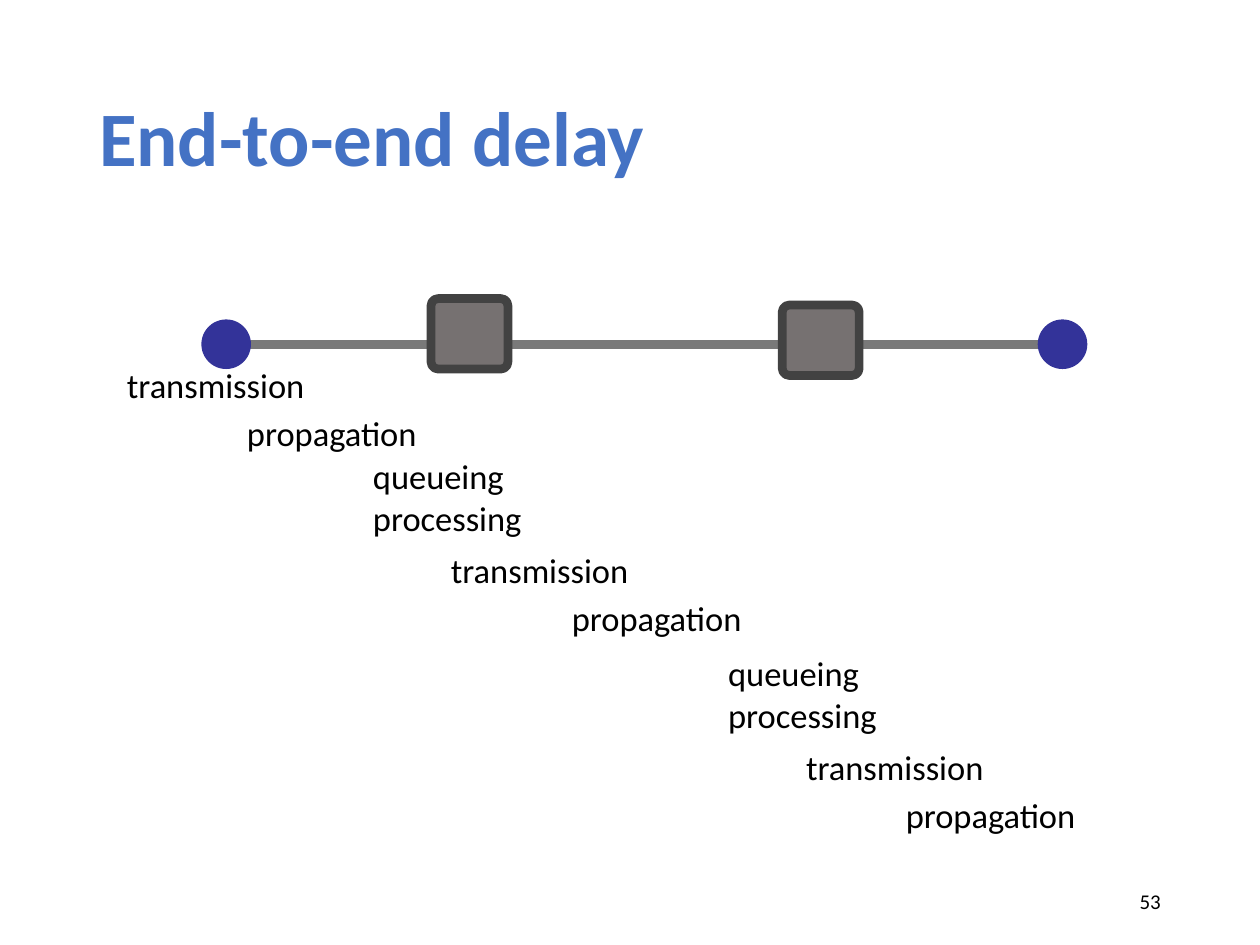
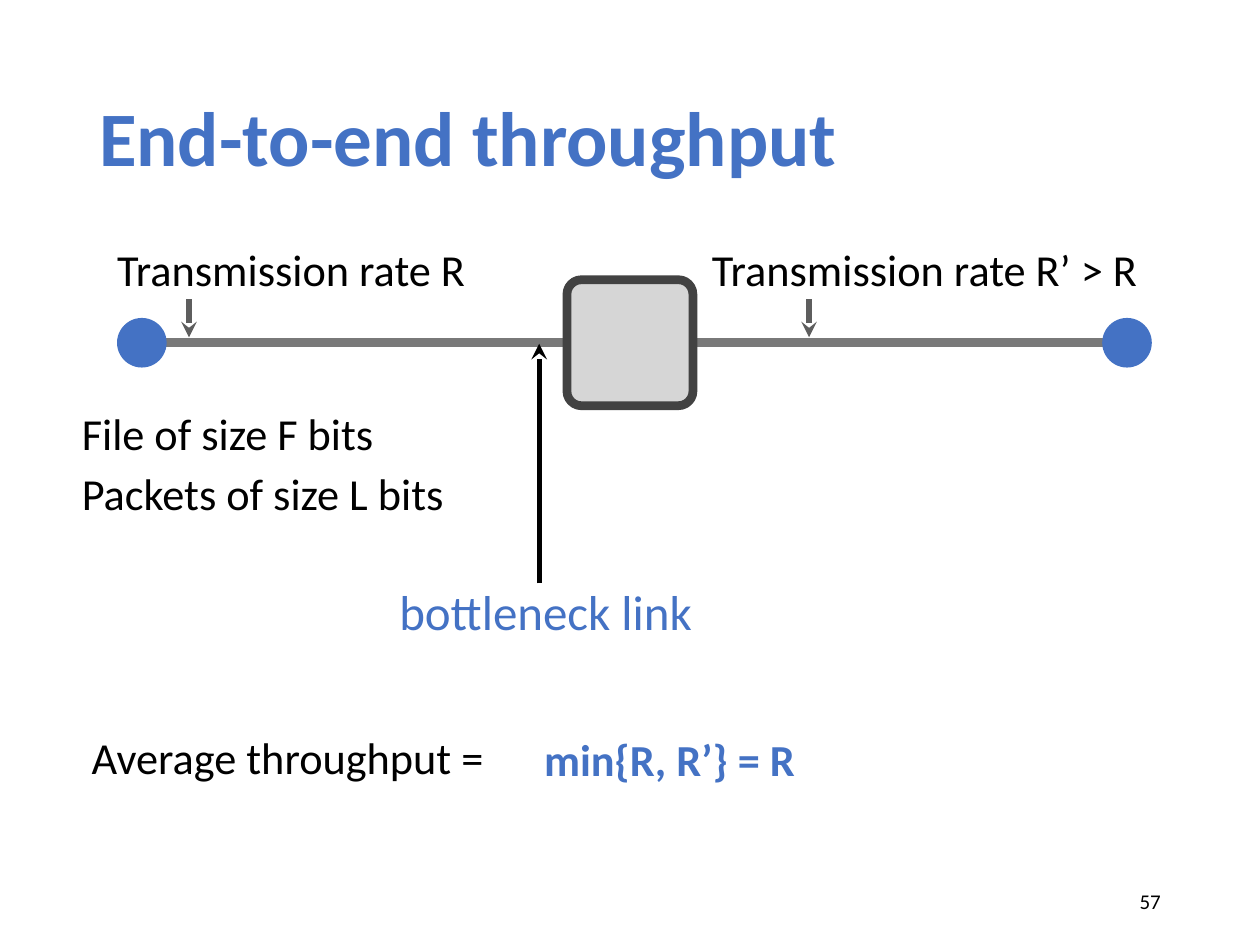
"""Build two slides on end-to-end delay and throughput."""
from pptx import Presentation
from pptx.dml.color import RGBColor as Rgb
from pptx.enum.shapes import MSO_CONNECTOR as Link, MSO_SHAPE as Form
from pptx.enum.text import MSO_ANCHOR as Anchor, PP_ALIGN as Align
from pptx.oxml.ns import qn
from pptx.util import Cm, Pt
from lxml.etree import SubElement as Sub

FONT = "Calibri"
INK = {
    "text": "000000",
    "blue": "4472C4",
    "navy": "333399",
    "wire": "797979",
    "arrow": "5E5E5E",
    "edge": "424242",
    "dark": "767171",
    "pale": "D6D6D6",
}


def tint(name):
    return Rgb.from_string(INK[name])


def add_text(slide, text, x, y, w, h, size, ink="text", bold=False, pad=0.1):
    box = slide.shapes.add_textbox(Cm(x), Cm(y), Cm(w), Cm(h))
    frame = box.text_frame
    frame.word_wrap = True
    frame.vertical_anchor = Anchor.MIDDLE
    frame.margin_left = frame.margin_right = Cm(pad)
    frame.margin_top = frame.margin_bottom = Cm(min(pad, 0.15))
    frame.text = text
    para = frame.paragraphs[0]
    font = para.runs[0].font
    font.name, font.size, font.bold = FONT, Pt(size), bold
    font.color.rgb = tint(ink)
    return para


def add_line(slide, start, end, ink, width, head=False):
    line = slide.shapes.add_connector(Link.STRAIGHT, *map(Cm, start + end))
    line.line.color.rgb = tint(ink)
    line.line.width = Pt(width)
    if head:
        Sub(line.line._get_or_add_ln(), qn("a:tailEnd"), type="stealth")
    Sub(line._element.spPr, qn("a:effectLst"))


def add_form(slide, form, x, y, w, h, ink):
    shape = slide.shapes.add_shape(form, Cm(x), Cm(y), Cm(w), Cm(h))
    shape.shadow.inherit = False
    shape.fill.solid()
    shape.fill.fore_color.rgb = tint(ink)
    shape.line.fill.background()
    return shape


def add_path(slide, left, right, y, ink):
    add_line(slide, (left, y), (right, y), "wire", 5)
    for x in (left, right):
        add_form(slide, Form.OVAL, x - 0.5, y - 0.5, 1, 1, ink)


def add_router(slide, x, y, w, h, ink, curve):
    box = add_form(slide, Form.ROUNDED_RECTANGLE, x, y, w, h, ink)
    box.adjustments[0] = curve
    box.line.color.rgb = tint("edge")
    box.line.width = Pt(5)


def add_slide(deck, title, number):
    slide = deck.slides.add_slide(deck.slide_layouts[6])
    head = add_text(slide, title, 1.75, 1.02, 21.9, 3.68, 44, "blue", True, 0.25)
    head.line_spacing = 0.9
    foot = add_text(slide, number, 17.93, 17.65, 5.72, 1.02, 12, pad=0.25)
    foot.alignment = Align.RIGHT
    return slide


def add_delay(deck):
    slide = add_slide(deck, "End-to-end delay", "53")
    add_path(slide, 4.56, 21.42, 6.94, "navy")
    for x, y in ((8.69, 6.02), (15.77, 6.15)):
        add_router(slide, x, y, 1.55, 1.42, "dark", 0.1)
    hops = ((2.46, 7.24, 2.42), (8.99, 10.97, 2.44), (16.15, 14.94, 2.01))
    for hop, (x, y, gap) in enumerate(hops):
        steps = [("transmission", x, y), ("propagation", x + gap, y + 0.96)]
        if hop:
            wait = x - 1.57
            steps = [("queueing", wait, y - 1.9),
                     ("processing", wait, y - 1.06)] + steps
        for text, left, top in steps:
            add_text(slide, text, left, top, 4.24, 1.04, 19.7)


def add_rate(deck):
    slide = add_slide(deck, "End-to-end throughput", "57")
    add_path(slide, 2.86, 22.72, 6.91, "blue")
    add_router(slide, 11.43, 5.64, 2.54, 2.54, "pale", 0.115)
    notes = (
        ("Transmission rate R", 2.26, 4.78, 8.3),
        ("Transmission rate R’ > R", 14.25, 4.78, 10.72),
        ("File of size F bits", 1.55, 8.08, 8.48),
        ("Packets of size L bits", 1.55, 9.3, 9.47),
        ("Average throughput =", 1.75, 14.61, 12.42),
    )
    for text, x, y, w in notes:
        add_text(slide, text, x, y, w, 1.27, 25.3)
    add_text(slide, "min{R, R’} = R", 10.87, 14.66, 6.07, 1.27, 25.3, "blue", True)
    add_text(slide, "bottleneck link", 7.9, 11.58, 11.43, 1.47, 28, "blue", pad=0.15)
    for x in (3.81, 16.31):
        add_line(slide, (x, 6.03), (x, 6.8), "arrow", 3, True)
    add_line(slide, (10.87, 11.76), (10.87, 6.93), "text", 3, True)


def main():
    deck = Presentation()
    deck.slide_width, deck.slide_height = Cm(25.4), Cm(19.05)
    add_delay(deck)
    add_rate(deck)
    deck.save("out.pptx")


main()
